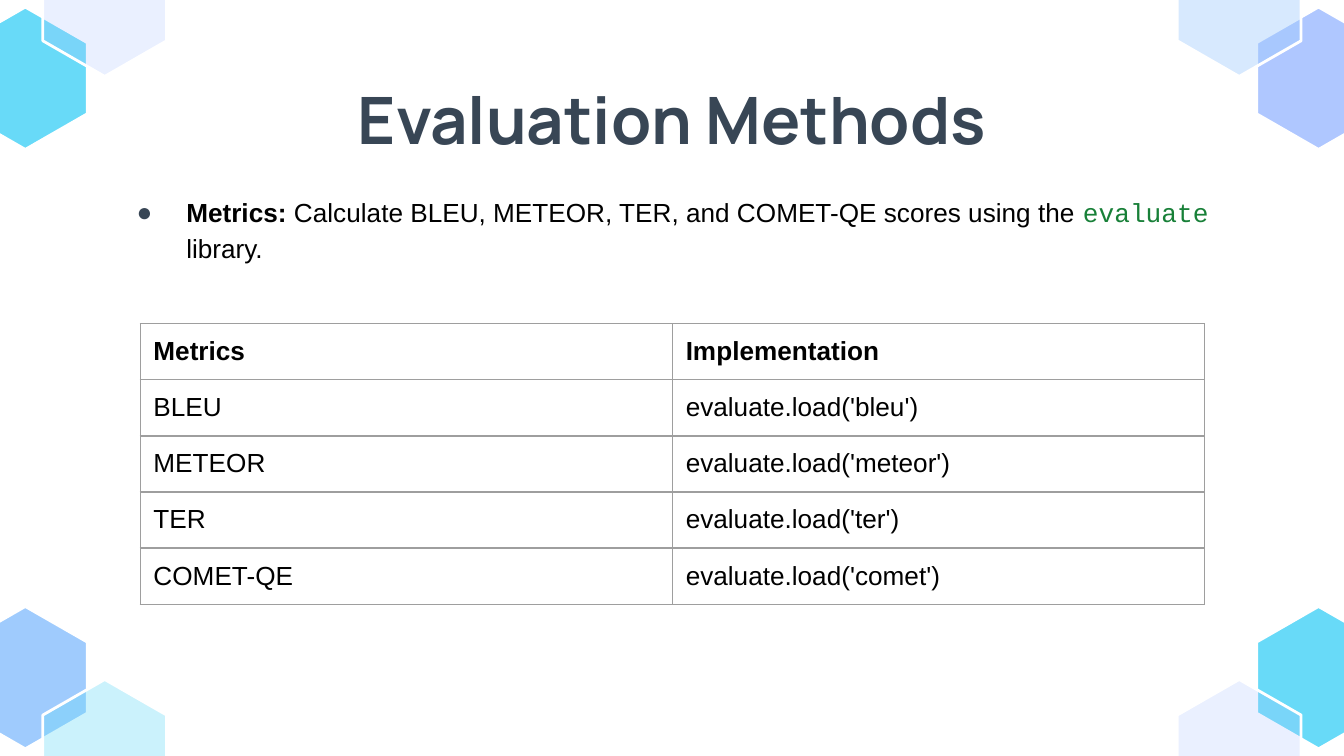
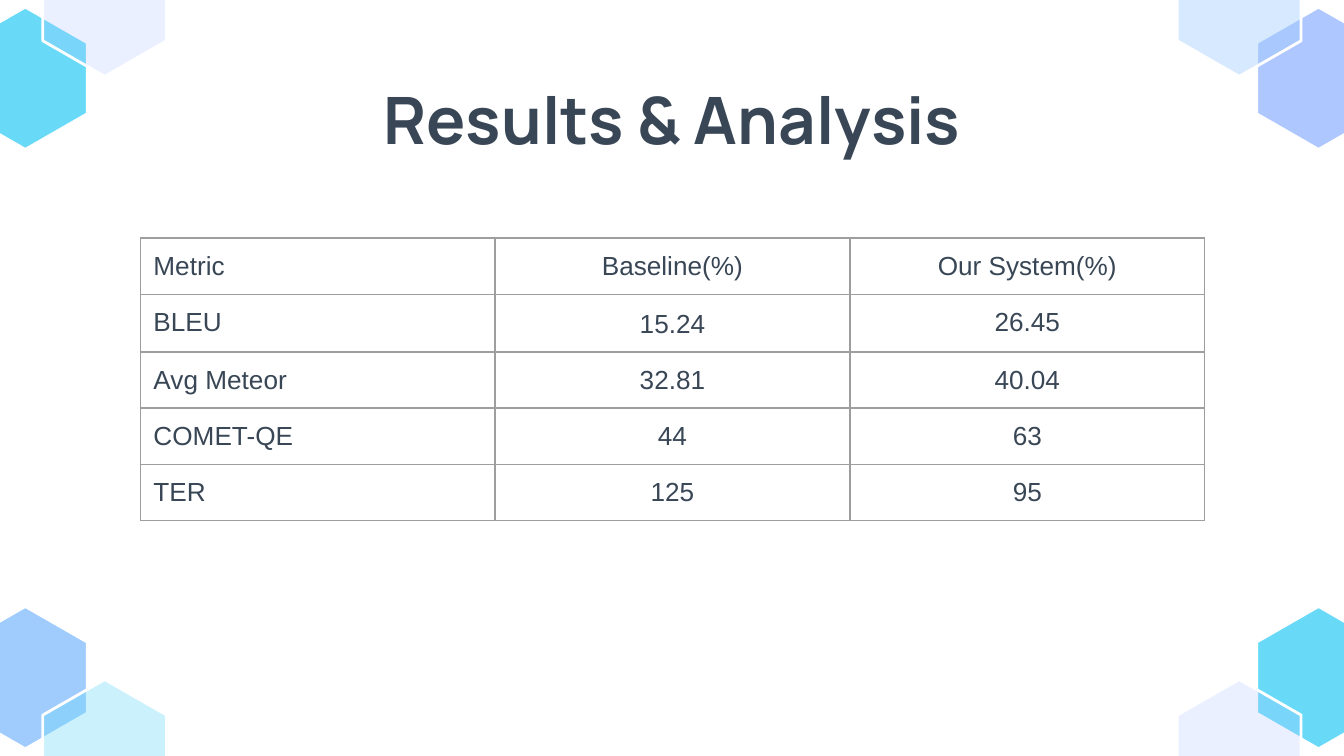
import lxml.etree
import pptx
import pptx.dml.color
import pptx.enum.text
import pptx.oxml
import pptx.oxml.ns
import pptx.util

Cm = pptx.util.Cm
Pt = pptx.util.Pt
Align = pptx.enum.text.PP_ALIGN
qn = pptx.oxml.ns.qn

COLORS = {
    "slate": "384655",
    "black": "000000",
    "white": "FFFFFF",
    "code": "188038",
    "border": "9E9E9E",
    "cyan": "68DAF8",
    "sky": "9FCBFD",
    "periwinkle": "AFC7FF",
}
SLIDE_WIDTH, SLIDE_HEIGHT = 25.4, 14.29
INSET = Cm(0.25)
TABLE_LEFT, TABLE_WIDTH, ROW_HEIGHT = 2.65, 20.12, 1.06


def style_font(font, name, size, color, bold=False):
    font.name = name
    font.size = Pt(size)
    font.bold = bold
    font.color.rgb = pptx.dml.color.RGBColor.from_string(COLORS[color])


def add_grid(slide, top, rows, color, bold_header, value_align):
    """Add a bordered table without fill; value_align applies after the first column."""
    column_count = len(rows[0])
    table = slide.shapes.add_table(
        len(rows), column_count, Cm(TABLE_LEFT), Cm(top),
        Cm(TABLE_WIDTH), Cm(ROW_HEIGHT * len(rows))).table
    table.first_row = table.horz_banding = False
    for column in table.columns:
        column.width = Cm(TABLE_WIDTH / column_count)
    for row_index, row in enumerate(rows):
        table.rows[row_index].height = Cm(ROW_HEIGHT)
        for column_index, text in enumerate(row):
            cell = table.cell(row_index, column_index)
            cell.margin_left = cell.margin_right = INSET
            cell.margin_top = cell.margin_bottom = INSET
            para = cell.text_frame.paragraphs[0]
            para.text = text
            para.alignment = value_align if column_index else Align.LEFT
            style_font(para.runs[0].font, "Arial", 14, color,
                       bold_header and row_index == 0)
            properties = cell._tc.get_or_add_tcPr()
            for side in ("a:lnL", "a:lnR", "a:lnT", "a:lnB"):
                line = lxml.etree.SubElement(properties, qn(side), w=str(Pt(0.75)))
                fill = lxml.etree.SubElement(line, qn("a:solidFill"))
                lxml.etree.SubElement(fill, qn("a:srgbClr"), val=COLORS["border"])
            cell.fill.background()
    return table


deck = pptx.Presentation()
deck.slide_width = Cm(SLIDE_WIDTH)
deck.slide_height = Cm(SLIDE_HEIGHT)

methods = deck.slides.add_slide(deck.slide_layouts[1])
results = deck.slides.add_slide(deck.slide_layouts[5])

# Corner hexagons: centre x, centre y, colour, opacity in percent
OUTER_X, INNER_X = 0.48, 1.98
OUTER_Y, INNER_Y = 1.48, 0.1
HEXAGON_WIDTH, HEXAGON_HEIGHT = 2.34, 2.69
hexagons = [
    (OUTER_X, SLIDE_HEIGHT - OUTER_Y, "sky", 100),
    (INNER_X, SLIDE_HEIGHT - INNER_Y, "cyan", 34),
    (SLIDE_WIDTH - OUTER_X, SLIDE_HEIGHT - OUTER_Y, "cyan", 100),
    (SLIDE_WIDTH - INNER_X, SLIDE_HEIGHT - INNER_Y, "periwinkle", 25),
    (OUTER_X, OUTER_Y, "cyan", 100),
    (INNER_X, INNER_Y, "periwinkle", 25),
    (SLIDE_WIDTH - OUTER_X, OUTER_Y, "periwinkle", 100),
    (SLIDE_WIDTH - INNER_X, INNER_Y, "sky", 41),
]
corners = [(0, -0.5), (-0.5, -0.25), (-0.5, 0.25), (0, 0.5), (0.5, 0.25), (0.5, -0.25)]
for center_x, center_y, color, opacity in hexagons:
    points = [(Cm(center_x + x * HEXAGON_WIDTH), Cm(center_y + y * HEXAGON_HEIGHT))
              for x, y in corners]
    builder = methods.shapes.build_freeform(*points[0])
    builder.add_line_segments(points[1:], close=True)
    hexagon = builder.convert_to_shape()
    hexagon.shadow.inherit = False
    hexagon.fill.solid()
    hexagon.fill.fore_color.rgb = pptx.dml.color.RGBColor.from_string(COLORS[color])
    hexagon.line.color.rgb = pptx.dml.color.RGBColor.from_string(COLORS["white"])
    hexagon.line.width = Pt(1.5)
    if opacity < 100:
        fill_color = hexagon.element.spPr.find(qn("a:solidFill"))[0]
        lxml.etree.SubElement(fill_color, qn("a:alpha"), val=str(opacity * 1000))
    # The master carries the hexagons, so every slide shows them
    deck.slide_master.shapes.element.append(hexagon.element)

for slide, heading in ((methods, "Evaluation Methods"), (results, "Results & Analysis")):
    title = slide.shapes.title
    title.left, title.top, title.width, title.height = Cm(2), Cm(1.25), Cm(21.41), Cm(1.6)
    frame = title.text_frame
    frame.text = heading
    frame.word_wrap = True
    frame.auto_size = pptx.enum.text.MSO_AUTO_SIZE.NONE
    frame.vertical_anchor = pptx.enum.text.MSO_ANCHOR.TOP
    frame.margin_left = frame.margin_right = frame.margin_top = frame.margin_bottom = INSET
    frame.paragraphs[0].alignment = Align.CENTER
    style_font(frame.paragraphs[0].runs[0].font, "Manrope", 35, "slate", True)

# Evaluation Methods
body = methods.placeholders[1]
body.left, body.top, body.width, body.height = Cm(2), Cm(3.38), Cm(21.41), Cm(8.13)
frame = body.text_frame
frame.word_wrap = True
frame.auto_size = pptx.enum.text.MSO_AUTO_SIZE.NONE
frame.margin_left = frame.margin_right = frame.margin_top = frame.margin_bottom = INSET
para = frame.paragraphs[0]
para.line_spacing = 1.15
para.space_before = Pt(0)
for text, font_name, color, bold in (
    ("Metrics:", "Arial", "black", True),
    (" Calculate BLEU, METEOR, TER, and COMET-QE scores using the ", "Arial", "black", False),
    ("evaluate", "Courier New", "code", False),
    (" library.", "Arial", "black", False),
):
    span = para.add_run()
    span.text = text
    style_font(span.font, font_name, 14, color, bold)
properties = para._p.get_or_add_pPr()
properties.set("marL", str(Cm(1.27)))
properties.set("indent", str(Cm(-0.94)))
bullet_color = lxml.etree.SubElement(properties, qn("a:buClr"))
lxml.etree.SubElement(bullet_color, qn("a:srgbClr"), val=COLORS["slate"])
lxml.etree.SubElement(properties, qn("a:buFont"), typeface="Arial")
lxml.etree.SubElement(properties, qn("a:buChar"), char="●")

method_rows = [
    ("Metrics", "Implementation"),
    ("BLEU", "evaluate.load('bleu')"),
    ("METEOR", "evaluate.load('meteor')"),
    ("TER", "evaluate.load('ter')"),
    ("COMET-QE", "evaluate.load('comet')"),
]
add_grid(methods, 6.12, method_rows, "black", True, Align.LEFT)

# Results & Analysis
result_rows = [
    ("Metric", "Baseline(%)", "Our System(%)"),
    ("BLEU", "15.24", "26.45"),
    ("Avg Meteor", "32.81", "40.04"),
    ("COMET-QE", "44", "63"),
    ("TER", "125", "95"),
]
result_table = add_grid(results, 4.5, result_rows, "slate", False, Align.CENTER)
baseline_bleu = result_table.cell(1, 1).text_frame.paragraphs[0]
baseline_bleu.line_spacing = 1.07
baseline_bleu.space_before = Pt(11)
baseline_bleu.space_after = Pt(8)

deck.save("out.pptx")
